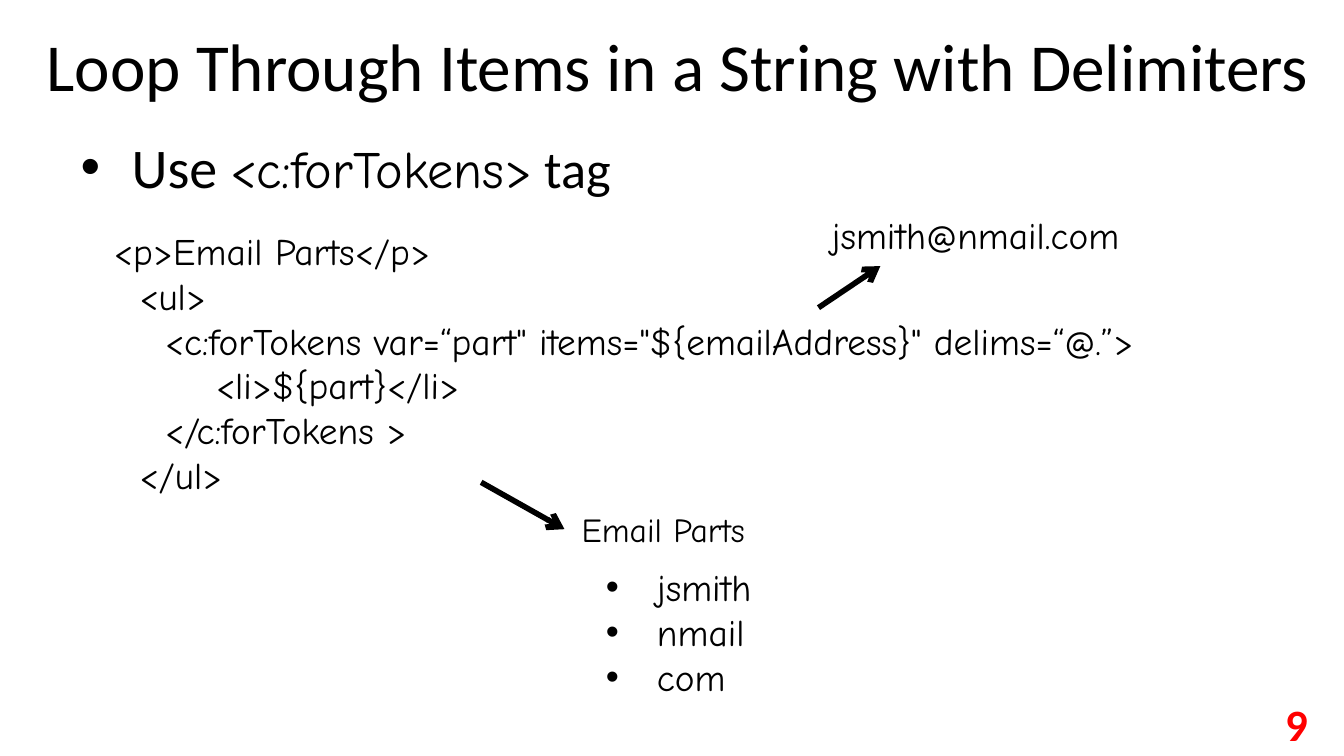
from lxml.etree import SubElement
from pptx import Presentation
from pptx.dml.color import RGBColor as Rgb
from pptx.enum.shapes import MSO_CONNECTOR as Connector
from pptx.enum.text import MSO_ANCHOR as Anchor, MSO_AUTO_SIZE as AutoSize, PP_ALIGN as Align
from pptx.oxml.ns import qn
from pptx.util import Inches, Pt

# Content
TITLE = "Loop Through Items in a String with Delimiters"
LEAD = [("Use ", "lead"), ("<c:forTokens>", "tag"), (" tag", "lead_end")]
CODE = [  # (indent steps, line)
    (0, "<p>Email Parts</p>"),
    (1, "<ul>"),
    (2, "<c:forTokens var=“part\" items=\"${emailAddress}\" delims=“@.”>"),
    (4, "<li>${part}</li>"),
    (2, "</c:forTokens >"),
    (1, "</ul>"),
]
ADDRESS = "jsmith@nmail.com"
RESULT_HEADING = "Email Parts"
RESULT_ITEMS = ["jsmith", "nmail", "com"]
PAGE = "9"

# Theme
BLACK, RED = Rgb(0, 0, 0), Rgb(255, 0, 0)
SANS, COMIC = "Calibri", "Comic Neue"
THEME = {
    "title": dict(name=SANS, size=Pt(36)),
    "lead": dict(name=SANS, size=Pt(30)),
    "lead_end": dict(name=SANS, size=Pt(28)),
    "tag": dict(name=COMIC, size=Pt(28)),
    "code": dict(name=COMIC, size=Pt(20)),
    "heading": dict(name=COMIC, size=Pt(18)),
    "page": dict(name=SANS, size=Pt(24), bold=True, color=RED),
}
CODE_STEP, BULLET_INDENT = 0.19, 0.38
ARROW_WIDTH = Pt(3)

# Layout, in percent of the slide's width and height (16:9)
WIDTH = Inches(10)
HEIGHT = WIDTH * 9 // 16
AREAS = {
    "title": (1.7, 0.2, 97.5, 16.7),
    "body": (5, 16.7, 90, 77.9),
    "page": (75, 93, 23.3, 5.3),
    "code": (7.5, 29.3, 87.4, 37.7),
    "address": (60.9, 27.2, 25.5, 7.8),
    "items": (44.1, 73.8, 14.2, 19.7),
    "heading": (42.3, 66.5, 15.2, 7.1),
}
ARROWS = [(60.9, 40.7, 65.5, 35.2), (35.8, 63.8, 42, 70)]


def scaled(shares):
    return [int(share * full / 100) for share, full in zip(shares, (WIDTH, HEIGHT) * 2)]


def place(shape, area):
    for side, length in zip(("left", "top", "width", "height"), scaled(AREAS[area])):
        setattr(shape, side, length)
    frame = shape.text_frame
    frame.word_wrap, frame.auto_size = True, AutoSize.NONE
    return frame


def text_box(area):
    return place(slide.shapes.add_textbox(0, 0, 0, 0), area)


def write(paragraph, text, style):
    run = paragraph.add_run()
    run.text = text
    look = {"color": BLACK, **THEME[style]}
    run.font.color.rgb = look.pop("color")
    for key, value in look.items():
        setattr(run.font, key, value)


def paragraphs(frame, count):
    while len(frame.paragraphs) < count:
        frame.add_paragraph()
    return frame.paragraphs


def indent(paragraph, left, first=0.0):
    properties = paragraph._p.get_or_add_pPr()
    properties.set("marL", str(Inches(left)))
    properties.set("indent", str(Inches(first)))
    return properties


def bullet(paragraph):
    properties = indent(paragraph, BULLET_INDENT, -BULLET_INDENT)
    SubElement(properties, qn("a:buFont"), typeface="Arial")
    SubElement(properties, qn("a:buChar"), char="•")


def arrow(ends):
    connector = slide.shapes.add_connector(Connector.STRAIGHT, *scaled(ends))
    connector.line.color.rgb = BLACK
    connector.line.width = ARROW_WIDTH
    SubElement(connector.line._get_or_add_ln(), qn("a:tailEnd"), type="arrow")
    SubElement(connector._element.spPr, qn("a:effectLst"))


deck = Presentation()
deck.slide_width, deck.slide_height = WIDTH, HEIGHT
slide = deck.slides.add_slide(deck.slide_layouts[1])

# Title and lead bullet
title = place(slide.shapes.title, "title")
title.vertical_anchor = Anchor.MIDDLE
title.paragraphs[0].alignment = Align.CENTER
write(title.paragraphs[0], TITLE, "title")

lead = place(slide.placeholders[1], "body").paragraphs[0]
bullet(lead)
for text, style in LEAD:
    write(lead, text, style)

# Page number
page = text_box("page")
page.vertical_anchor = Anchor.MIDDLE
page.paragraphs[0].alignment = Align.RIGHT
write(page.paragraphs[0], PAGE, "page")

# Code listing
for line, (depth, text) in zip(paragraphs(text_box("code"), len(CODE)), CODE):
    indent(line, depth * CODE_STEP)
    write(line, text, "code")

# Input address and resulting list
write(text_box("address").paragraphs[0], ADDRESS, "code")
for item, text in zip(paragraphs(text_box("items"), len(RESULT_ITEMS)), RESULT_ITEMS):
    bullet(item)
    write(item, text, "code")
write(text_box("heading").paragraphs[0], RESULT_HEADING, "heading")

# Arrows from the code to its input and its result
for ends in ARROWS:
    arrow(ends)

deck.save("out.pptx")
